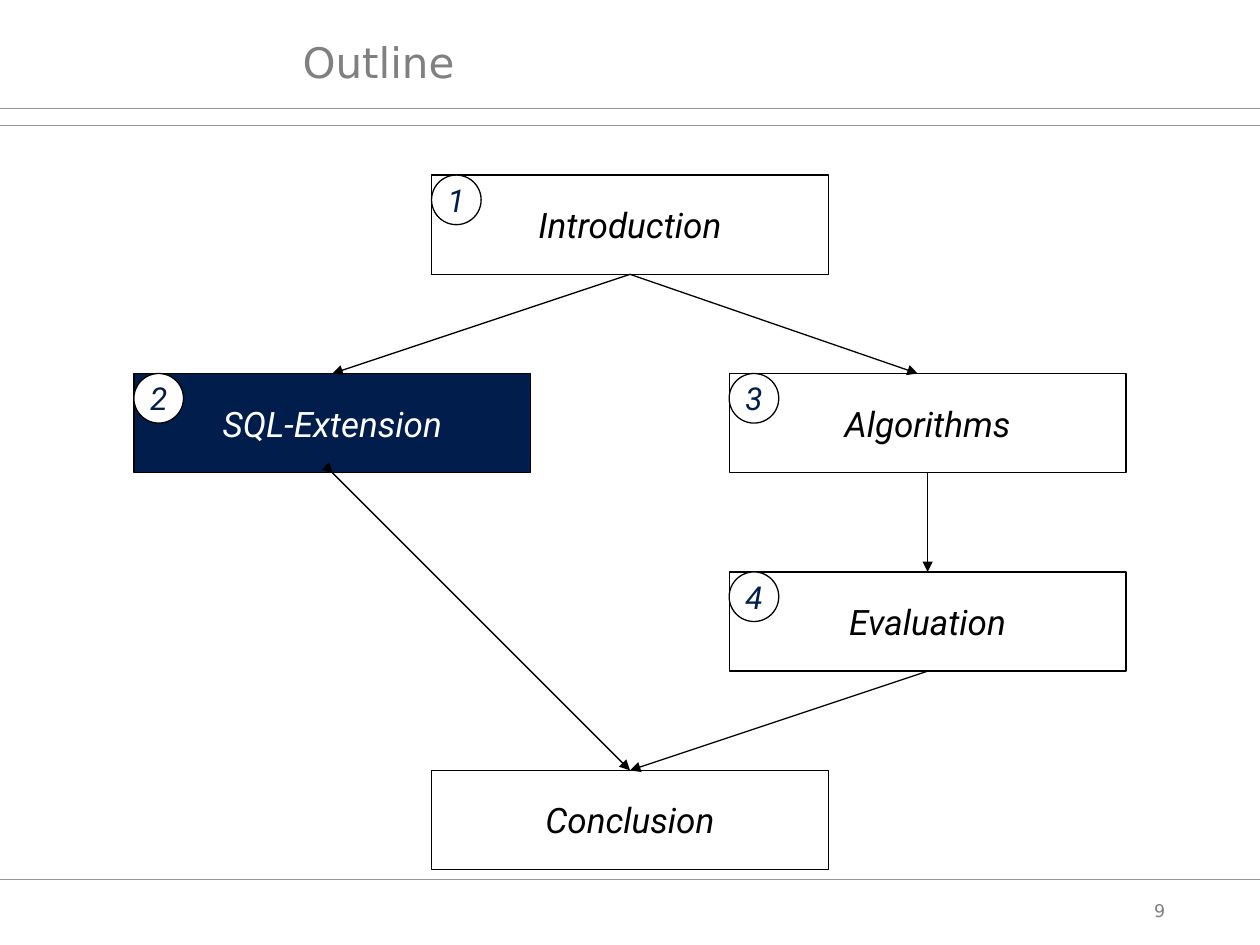
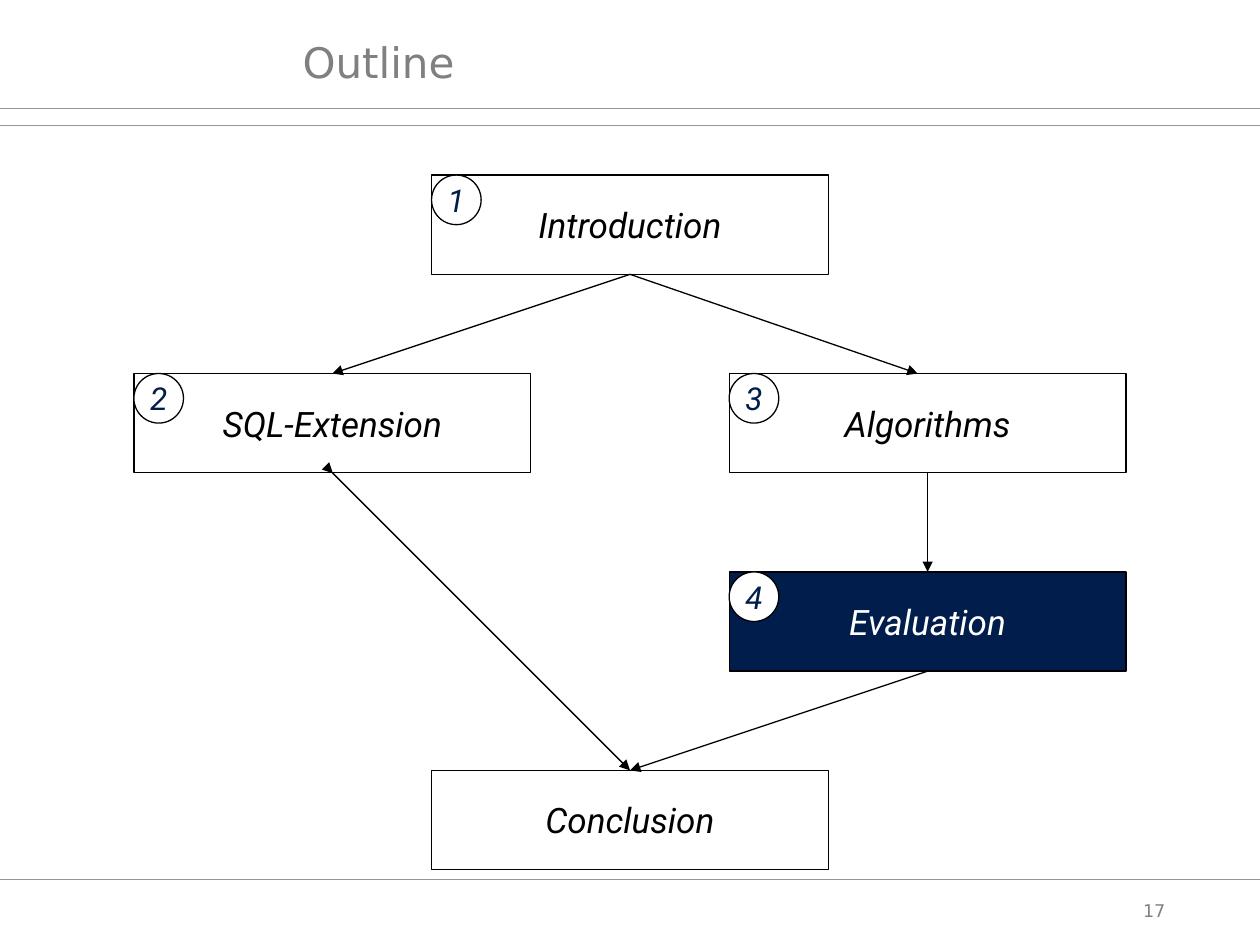
from dataclasses import dataclass
from typing import NamedTuple

from lxml.etree import SubElement
from pptx import Presentation
from pptx.dml.color import RGBColor
from pptx.enum.shapes import MSO_CONNECTOR, MSO_SHAPE
from pptx.enum.text import MSO_ANCHOR, PP_ALIGN
from pptx.oxml.ns import qn
from pptx.util import Emu, Pt

EMU_PER_PX = 3600
SLIDE_WIDTH, SLIDE_HEIGHT = 2540, 1905
TOP_SIDE, BOTTOM_SIDE = 0, 2


class TextStyle(NamedTuple):
    font: str
    size: int
    color: str
    italic: bool = False


@dataclass(frozen=True)
class Theme:
    white: str = "FFFFFF"
    navy: str = "001D4B"
    outline: str = "000000"
    rule: str = "969696"
    outline_width: float = 0.75
    rule_width: float = 0.5
    title: TextStyle = TextStyle("DejaVu Sans", 24, "808080")
    page_number: TextStyle = TextStyle("DejaVu Sans", 10, "808080")
    topic: TextStyle = TextStyle("Roboto", 20, "000000", True)
    active_topic: TextStyle = TextStyle("Roboto", 20, "FFFFFF", True)
    badge: TextStyle = TextStyle("Roboto", 18, "001D4B", True)


class Box(NamedTuple):
    left: int
    top: int
    width: int
    height: int


class Margins(NamedTuple):
    left: int
    top: int
    right: int
    bottom: int


class Topic(NamedTuple):
    label: str
    column: int
    row: int
    number: str = ""


class Link(NamedTuple):
    source: str
    target: str
    end_shift: int = 0


class OutlineSlide(NamedTuple):
    active: str
    page: str


THEME = Theme()
TITLE_BOX = Box(610, 71, 1844, 107)
PAGE_BOX = Box(1821, 1814, 528, 64)
TITLE_MARGINS = Margins(0, 13, 25, 13)
NODE_MARGINS = Margins(25, 13, 25, 13)
NO_MARGINS = Margins(0, 0, 0, 0)
RULE_TOPS = (252, 218, 1773)

NODE_WIDTH, NODE_HEIGHT, BADGE_SIZE = 800, 200, 100
COLUMN_STEP, ROW_STEP, FIRST_ROW = 600, 400, 353

TOPICS = (
    Topic("Introduction", 0, 0, "1"),
    Topic("SQL-Extension", -1, 1, "2"),
    Topic("Algorithms", 1, 1, "3"),
    Topic("Evaluation", 1, 2, "4"),
    Topic("Conclusion", 0, 3),
)
LINKS = (
    Link("Introduction", "SQL-Extension"),
    Link("Introduction", "Algorithms", -20),
    Link("Algorithms", "Evaluation"),
    Link("Evaluation", "Conclusion"),
    Link("SQL-Extension", "Conclusion"),
)
SLIDES = (OutlineSlide("SQL-Extension", "9"), OutlineSlide("Evaluation", "17"))


def px(length: int) -> Emu:
    return Emu(length * EMU_PER_PX)


def topic_box(topic: Topic) -> Box:
    center = SLIDE_WIDTH // 2 + topic.column * COLUMN_STEP
    top = FIRST_ROW + topic.row * ROW_STEP
    return Box(center - NODE_WIDTH // 2, top, NODE_WIDTH, NODE_HEIGHT)


def write_text(shape, text: str, style: TextStyle, align: PP_ALIGN,
               margins: Margins, anchor=MSO_ANCHOR.MIDDLE, wrap: bool = True) -> None:
    frame = shape.text_frame
    frame.text = text
    frame.word_wrap = wrap
    frame.vertical_anchor = anchor
    frame.margin_left, frame.margin_top, frame.margin_right, frame.margin_bottom = map(px, margins)
    paragraph = frame.paragraphs[0]
    paragraph.alignment = align
    font = paragraph.runs[0].font
    font.name, font.size, font.italic = style.font, Pt(style.size), style.italic
    font.color.rgb = RGBColor.from_string(style.color)


def draw_node(slide, kind: MSO_SHAPE, box: Box, text: str, style: TextStyle, fill: str = ""):
    node = slide.shapes.add_shape(kind, *map(px, box))
    node.shadow.inherit = False
    if fill:
        node.fill.solid()
        node.fill.fore_color.rgb = RGBColor.from_string(fill)
    else:
        node.fill.background()
    node.line.color.rgb = RGBColor.from_string(THEME.outline)
    node.line.width = Pt(THEME.outline_width)
    write_text(node, text, style, PP_ALIGN.CENTER, NODE_MARGINS, wrap=False)
    return node


def draw_line(slide, start: tuple[int, int], end: tuple[int, int],
              color: str, width: float, arrow: bool = False):
    line = slide.shapes.add_connector(MSO_CONNECTOR.STRAIGHT, *map(px, start + end))
    line.line.color.rgb = RGBColor.from_string(color)
    line.line.width = Pt(width)
    if arrow:
        SubElement(line.line._get_or_add_ln(), qn("a:tailEnd"), type="triangle")
    SubElement(line._element.spPr, qn("a:effectLst"))
    return line


def draw_arrow(slide, start: tuple[int, int], end: tuple[int, int]):
    return draw_line(slide, start, end, THEME.outline, THEME.outline_width, arrow=True)


def bottom_middle(box: Box) -> tuple[int, int]:
    return box.left + box.width // 2, box.top + box.height


def draw_link(slide, link: Link, boxes: dict[str, Box], nodes: dict) -> None:
    target = boxes[link.target]
    end = (target.left + target.width // 2 + link.end_shift, target.top)
    arrow = draw_arrow(slide, bottom_middle(boxes[link.source]), end)
    arrow.begin_connect(nodes[link.source], BOTTOM_SIDE)
    if not link.end_shift:
        arrow.end_connect(nodes[link.target], TOP_SIDE)


def draw_frame(slide, page: str) -> None:
    for top in RULE_TOPS:
        draw_line(slide, (0, top), (SLIDE_WIDTH, top), THEME.rule, THEME.rule_width)
    title = slide.shapes.add_textbox(*map(px, TITLE_BOX))
    write_text(title, "Outline", THEME.title, PP_ALIGN.LEFT, TITLE_MARGINS)
    page_number = slide.shapes.add_textbox(*map(px, PAGE_BOX))
    write_text(page_number, page, THEME.page_number, PP_ALIGN.RIGHT, NO_MARGINS, MSO_ANCHOR.TOP)


def draw_outline(slide, active: str) -> None:
    boxes = {topic.label: topic_box(topic) for topic in TOPICS}
    nodes = {}
    for label, box in boxes.items():
        style, fill = (THEME.active_topic, THEME.navy) if label == active else (THEME.topic, "")
        nodes[label] = draw_node(slide, MSO_SHAPE.RECTANGLE, box, label, style, fill)
    for link in LINKS:
        draw_link(slide, link, boxes, nodes)
    stub_x, stub_y = bottom_middle(boxes["SQL-Extension"])
    draw_arrow(slide, (stub_x, stub_y), (stub_x + 1, stub_y + 1))
    for topic in TOPICS:
        if topic.number:
            corner = boxes[topic.label]
            badge = Box(corner.left, corner.top, BADGE_SIZE, BADGE_SIZE)
            draw_node(slide, MSO_SHAPE.OVAL, badge, topic.number, THEME.badge, THEME.white)


def main() -> None:
    deck = Presentation()
    deck.slide_width, deck.slide_height = px(SLIDE_WIDTH), px(SLIDE_HEIGHT)
    for outline in SLIDES:
        slide = deck.slides.add_slide(deck.slide_layouts[6])
        draw_frame(slide, outline.page)
        draw_outline(slide, outline.active)
    deck.save("out.pptx")


if __name__ == "__main__":
    main()
